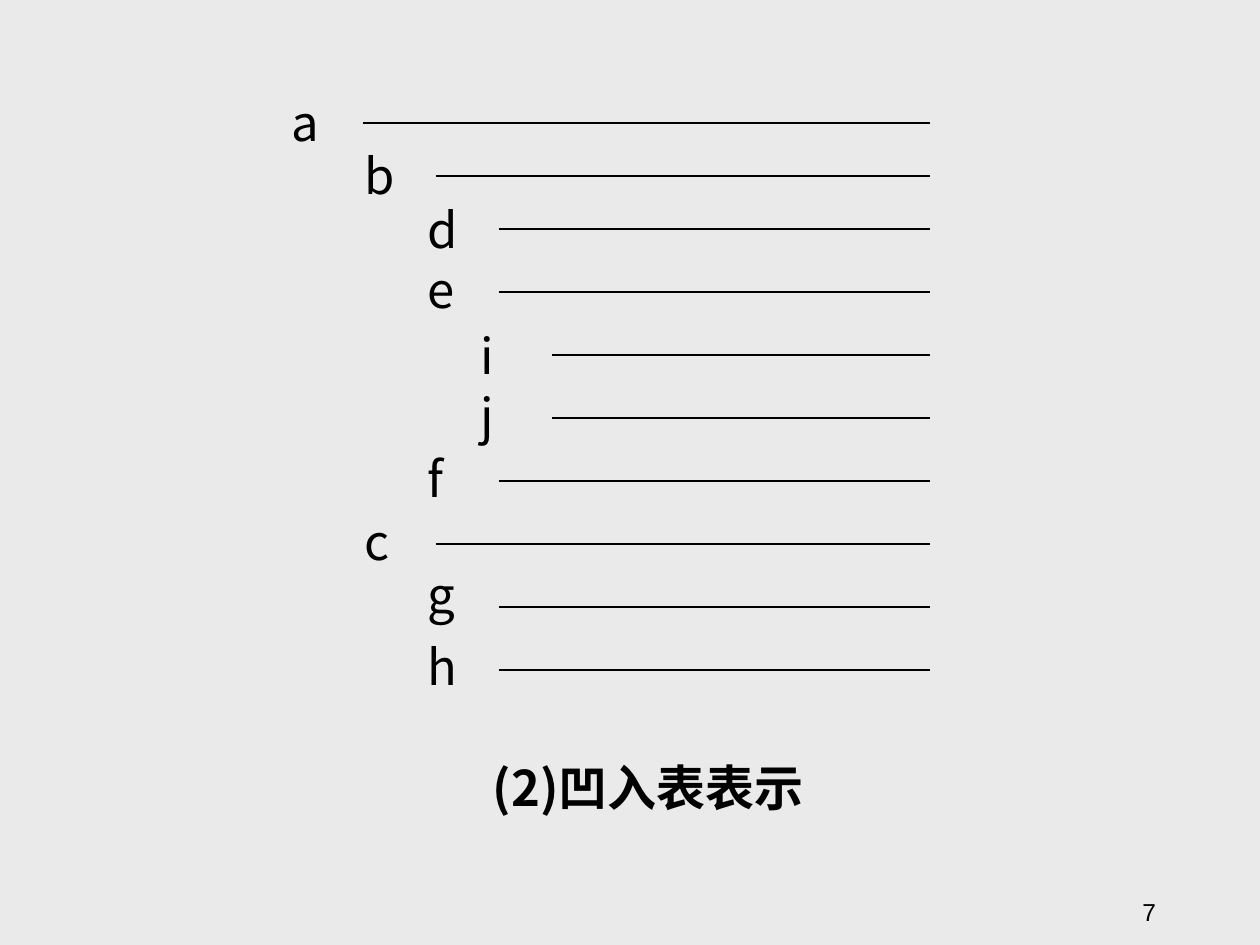
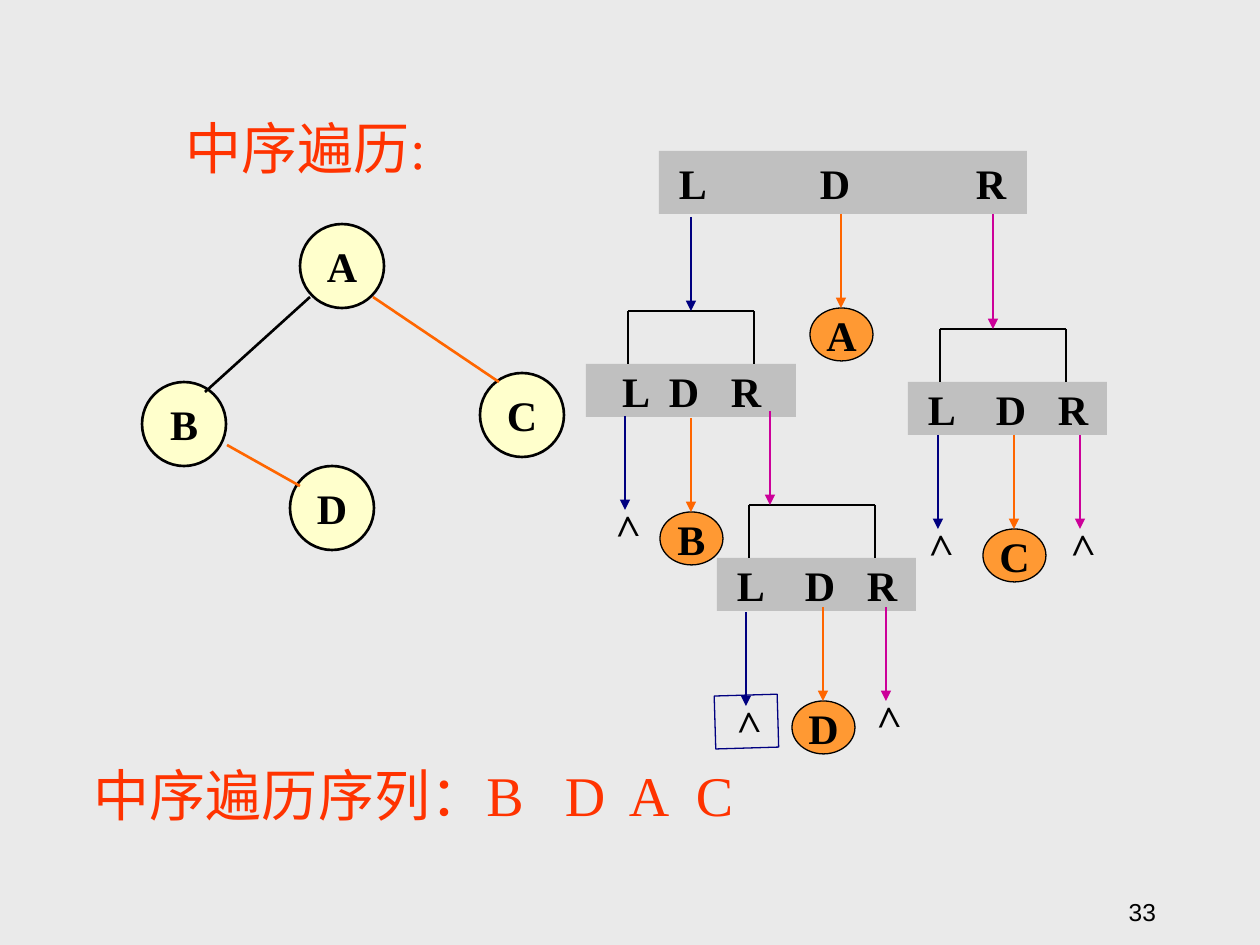
from lxml import etree
from pptx import Presentation
from pptx.dml.color import RGBColor
from pptx.enum.shapes import MSO_CONNECTOR, MSO_SHAPE
from pptx.enum.text import MSO_ANCHOR, PP_ALIGN
from pptx.oxml.ns import qn
from pptx.util import Pt

LINE = MSO_CONNECTOR.STRAIGHT
OVAL, RECT = MSO_SHAPE.OVAL, MSO_SHAPE.RECTANGLE
TOP, MIDDLE, BOTTOM = MSO_ANCHOR.TOP, MSO_ANCHOR.MIDDLE, MSO_ANCHOR.BOTTOM
LEFT, CENTER, RIGHT = PP_ALIGN.LEFT, PP_ALIGN.CENTER, PP_ALIGN.RIGHT

# Shared look
PX_PER_INCH = 126
SCALE = 914400 / PX_PER_INCH
INSET = 13
PAPER = RGBColor(0xEA, 0xEA, 0xEA)
BLACK = RGBColor(0, 0, 0)
GREY = RGBColor(0xC0, 0xC0, 0xC0)
CREAM = RGBColor(0xFF, 0xFF, 0xCC)
AMBER = RGBColor(0xFF, 0x99, 0x33)
ORANGE = RGBColor(0xFF, 0x66, 0x00)
RED = RGBColor(0xFF, 0x33, 0x00)
NAVY = RGBColor(0, 0, 0x80)
MAGENTA = RGBColor(0xCC, 0, 0x99)
CJK, SERIF, SANS = "Noto Sans CJK JP", "Times New Roman", "Arial"

LABEL = dict(name=CJK, size=Pt(28), bold=False)
CAPTION = dict(name=CJK, size=Pt(28), bold=True)
LETTER = dict(name=SERIF, size=Pt(24), bold=True)
HEADING = dict(name=SERIF, size=Pt(32), bold=False)
NUMBER = dict(name=SANS, size=Pt(14), bold=False)

# Indented list: letter, level, label top, line height on the page
LEVEL_LEFTS = [279, 352, 415, 468]
LINE_OFFSET, LINE_END = 84, 930
INDENTED_ROWS = [
    ("a", 0, 82, 123), ("b", 1, 135, 176), ("d", 2, 189, 229),
    ("e", 2, 249, 292), ("i", 3, 315, 355), ("j", 3, 375, 418),
    ("f", 2, 438, 481), ("c", 1, 501, 544), ("g", 2, 554, 607),
    ("h", 2, 626, 670),
]

# Binary tree: letter, left, top; edges: start, end, colour
NODE_SIZE = 84
TREE_NODES = [("A", 300, 224), ("D", 290, 466), ("B", 142, 382), ("C", 480, 373)]
TREE_EDGES = [
    ((310, 297), (205, 392), BLACK),
    ((373, 297), (499, 382), ORANGE),
    ((227, 445), (300, 486), ORANGE),
]

# Call bars: left, top, width, height, offsets of L, D, R, bracket offset
BAR_TEXT = "L\tD\tR"
BARS = [
    (659, 151, 368, 63, (20, 161, 317), None),
    (586, 364, 210, 53, (36, 83, 145), 42),
    (717, 558, 199, 53, (20, 88, 150), 32),
    (908, 382, 199, 53, (20, 88, 150), 32),
]
BRACKET_WIDTH, BRACKET_HEIGHT = 126, 53

# Call arrows: x, top, length, colour, what they reach
NIL, NIL_BOXED = ">", "boxed"
CALLS = [
    (691, 217, 94, NAVY, None), (841, 214, 94, ORANGE, "A"),
    (993, 214, 115, MAGENTA, None),
    (625, 416, 94, NAVY, NIL), (691, 418, 94, ORANGE, "B"),
    (770, 411, 94, MAGENTA, None),
    (746, 612, 94, NAVY, NIL_BOXED), (823, 607, 94, ORANGE, "D"),
    (886, 607, 94, MAGENTA, NIL),
    (938, 435, 94, NAVY, NIL), (1014, 435, 94, ORANGE, "C"),
    (1080, 435, 94, MAGENTA, NIL),
]
VISIT_WIDTH, VISIT_HEIGHT = 63, 53
NIL_WIDTH, NIL_HEIGHT, NIL_LIFT, NIL_TURN = 53, 63, 16, 268.3


def px(*lengths):
    return [round(length * SCALE) for length in lengths]


def write(box, text, style, color=BLACK, align=LEFT, anchor=TOP, wrap=True,
          spacing=None, tabs=(), inset=INSET):
    """Put one styled paragraph into a box."""
    frame = box.text_frame
    side, near, end = px(inset, 6, INSET)
    layout = dict(word_wrap=wrap, vertical_anchor=anchor, margin_left=side,
                  margin_right=end, margin_top=near, margin_bottom=near)
    for key, value in layout.items():
        setattr(frame, key, value)
    para = frame.paragraphs[0]
    para.alignment = align
    if spacing:
        para.line_spacing = Pt(spacing)
    if tabs:
        stops = etree.SubElement(para._p.get_or_add_pPr(), qn("a:tabLst"))
        for position in px(*tabs):
            etree.SubElement(stops, qn("a:tab"), pos=str(position), algn="l")
    span = para.add_run()
    span.text = text
    for key, value in style.items():
        setattr(span.font, key, value)
    span.font.color.rgb = color
    etree.SubElement(span._r.get_or_add_rPr(), qn("a:ea"), typeface=CJK)


def add_text(page, place, text, style, **options):
    box = page.shapes.add_textbox(*px(*place))
    write(box, text, style, **options)
    return box


def add_block(page, kind, place, fill, weight, text, **options):
    """Add a filled shape with a letter or letters in it."""
    block = page.shapes.add_shape(kind, *px(*place))
    block.shadow.inherit = False
    block.fill.solid()
    block.fill.fore_color.rgb = fill
    if weight:
        block.line.color.rgb = BLACK
        block.line.width = Pt(weight)
    else:
        block.line.fill.background()
    write(block, text, LETTER, anchor=MIDDLE, **options)


def add_line(page, start, end, color=BLACK, weight=1.5, arrow=False):
    line = page.shapes.add_connector(LINE, *px(*start, *end))
    line.line.color.rgb = color
    line.line.width = Pt(weight)
    if arrow:
        etree.SubElement(line.line._get_or_add_ln(), qn("a:tailEnd"), type="triangle")
    etree.SubElement(line._element.spPr, qn("a:effectLst"))


def add_page(deck, number):
    page = deck.slides.add_slide(deck.slide_layouts[6])
    page.background.fill.solid()
    page.background.fill.fore_color.rgb = PAPER
    add_text(page, (907, 869, 262, 63), number, NUMBER, align=RIGHT, anchor=BOTTOM)
    return page


def build_indented_list(deck):
    page = add_page(deck, "7")
    add_text(page, (480, 735, 343, 166), "(2)凹入表表示", CAPTION, spacing=43)
    for letter, level, top, line_y in INDENTED_ROWS:
        left = LEVEL_LEFTS[level]
        add_text(page, (left, top, 63, 72), letter, LABEL, spacing=36)
        add_line(page, (left + LINE_OFFSET, line_y), (LINE_END, line_y), weight=0.75)


def add_bar(page, left, top, width, height, offsets, bracket):
    first, *others = offsets
    add_block(page, RECT, (left, top, width, height), GREY, None, BAR_TEXT,
              tabs=[offset - first for offset in others], inset=first)
    if bracket is None:
        return
    start, roof = left + bracket, top - BRACKET_HEIGHT
    end = start + BRACKET_WIDTH
    add_line(page, (start, roof), (end, roof))
    for x in (start, end):
        add_line(page, (x, roof), (x, top))


def add_call(page, x, top, length, color, target):
    bottom = top + length
    if target in (NIL, NIL_BOXED):
        place = (x - NIL_WIDTH // 2, bottom - NIL_LIFT, NIL_WIDTH, NIL_HEIGHT)
        nil = add_text(page, place, NIL, LETTER)
        nil.rotation = NIL_TURN
        if target == NIL_BOXED:
            nil.line.color.rgb = NAVY
            nil.line.width = Pt(0.75)
    elif target:
        place = (x - VISIT_WIDTH // 2, bottom, VISIT_WIDTH, VISIT_HEIGHT)
        add_block(page, OVAL, place, AMBER, 0.75, target, align=CENTER, wrap=False)
    add_line(page, (x, top), (x, bottom), color, arrow=True)


def build_traversal(deck):
    page = add_page(deck, "33")
    # Tree on the left
    for letter, left, top in TREE_NODES:
        add_block(page, OVAL, (left, top, NODE_SIZE, NODE_SIZE), CREAM, 1.5, letter,
                  align=CENTER, wrap=False)
    for edge in TREE_EDGES:
        add_line(page, *edge)
    # Recursive calls on the right
    for bar in BARS:
        add_bar(page, *bar)
    for call in CALLS:
        add_call(page, *call)
    # Heading and resulting sequence
    add_text(page, (173, 103, 278, 81), "中序遍历:", HEADING, color=RED, spacing=41)
    add_text(page, (81, 750, 670, 81), "中序遍历序列：B\tD\tA\tC", HEADING, color=RED,
             spacing=41, tabs=(471, 535, 602))


def main():
    deck = Presentation()
    deck.slide_width, deck.slide_height = px(1260, 945)
    build_indented_list(deck)
    build_traversal(deck)
    deck.save("out.pptx")


if __name__ == "__main__":
    main()
